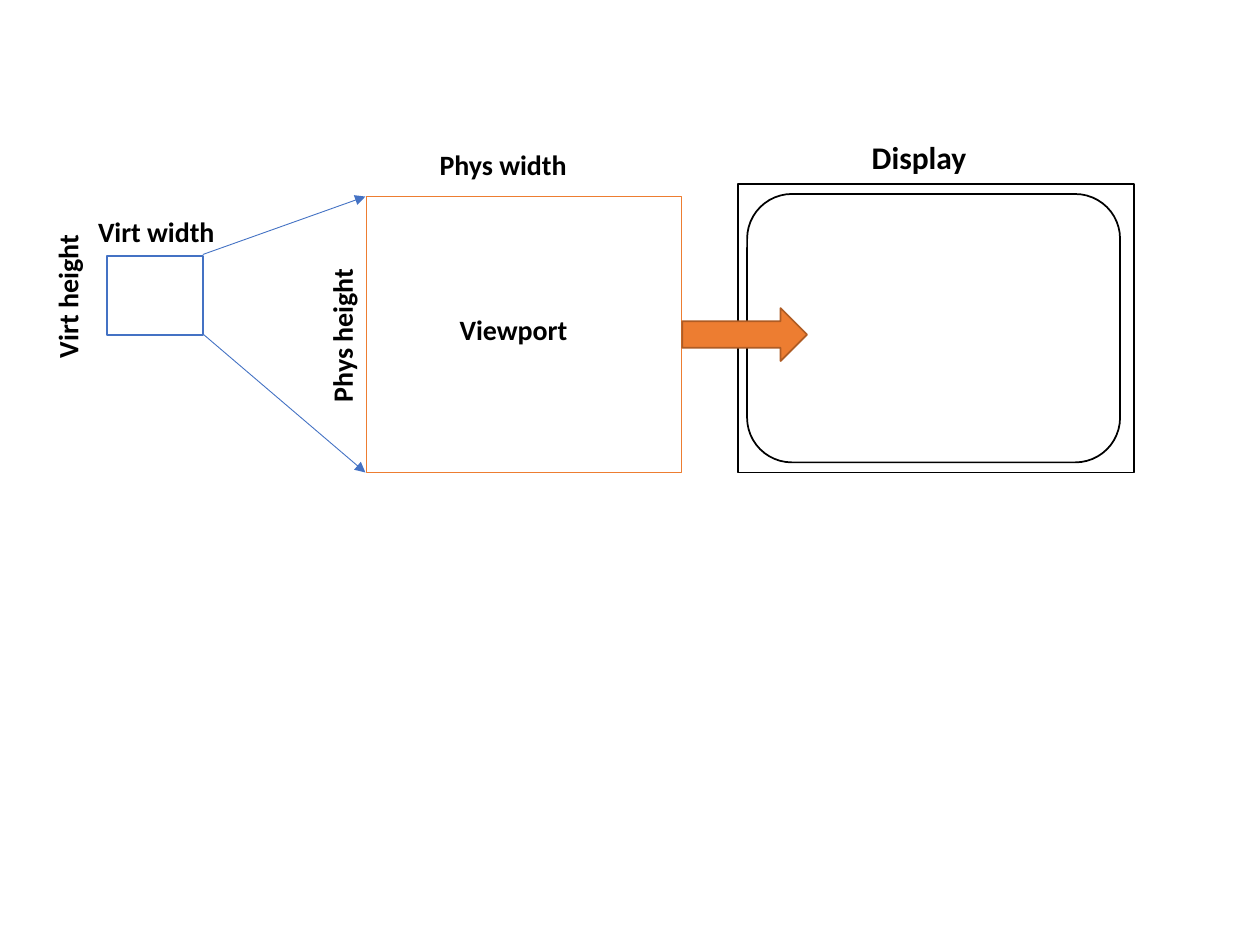
from lxml import etree
from pptx import Presentation
from pptx.dml.color import RGBColor
from pptx.enum.shapes import MSO_CONNECTOR, MSO_SHAPE as SHAPE
from pptx.enum.text import MSO_AUTO_SIZE
from pptx.oxml.ns import qn
from pptx.util import Inches, Pt

COLORS = {"black": "000000", "white": "FFFFFF", "blue": "4472C4",
          "orange": "ED7D31", "rust": "AF5C24"}


def color(name):
    return RGBColor.from_string(COLORS[name])


def add_outline(parent, kind, box, line, fill=None):
    """Add a preset shape with a 1 pt line, hollow unless a fill is named."""
    shape = parent.shapes.add_shape(kind, *map(Inches, box))
    shape.shadow.inherit = False
    shape.line.color.rgb = color(line)
    shape.line.width = Pt(1)
    if fill:
        shape.fill.solid()
        shape.fill.fore_color.rgb = color(fill)
    else:
        shape.fill.background()
    return shape


prs = Presentation()
prs.slide_width, prs.slide_height = Inches(10), Inches(7.5)
s = prs.slides.add_slide(prs.slide_layouts[6])

# Viewport, virtual screen and display
add_outline(s, SHAPE.RECTANGLE, (2.91, 1.56, 2.5, 2.19), "orange")
add_outline(s, SHAPE.RECTANGLE, (0.85, 2.03, 0.76, 0.63), "blue", "white")
display = s.shapes.add_group_shape()
add_outline(display, SHAPE.RECTANGLE, (5.86, 1.46, 3.14, 2.29), "black")
add_outline(display, SHAPE.ROUNDED_RECTANGLE, (5.93, 1.54, 2.96, 2.13), "black")

# Scaling lines from the virtual screen to the viewport corners
for y1, y2 in ((2.02, 1.56), (2.65, 3.75)):
    line = s.shapes.add_connector(MSO_CONNECTOR.STRAIGHT,
                                  *map(Inches, (1.61, y1, 2.9, y2)))
    line.line.color.rgb = color("blue")
    line.line.width = Pt(0.5)
    etree.SubElement(line.line._get_or_add_ln(), qn("a:tailEnd"), type="triangle")
    etree.SubElement(line._element.spPr, qn("a:effectLst"))

# Labels: text, box, size, rotation, wrap
labels = [
    ("Phys width", (3.39, 1.12, 1.22, 0.37), 16, 0, False),
    ("Phys height", (2.08, 2.47, 1.27, 0.37), 16, 270, False),
    ("Viewport", (3.55, 2.43, 1.07, 0.37), 16, 0, False),
    ("Virt height", (-0.06, 2.16, 1.19, 0.37), 16, 270, False),
    ("Virt width", (0.68, 1.65, 1.14, 0.37), 16, 0, False),
    ("Display", (6.82, 1.05, 2.18, 0.4), 18, 0, True),
]
for text, box, size, rotation, wrap in labels:
    label = s.shapes.add_textbox(*map(Inches, box))
    label.rotation = rotation
    tf = label.text_frame
    tf.word_wrap = wrap
    tf.auto_size = MSO_AUTO_SIZE.SHAPE_TO_FIT_TEXT
    r = tf.paragraphs[0].add_run()
    r.text = text
    for name, value in {"name": "Calibri", "size": Pt(size), "bold": True}.items():
        setattr(r.font, name, value)
    r.font.color.rgb = color("black")

# Block arrow from the viewport to the display
arrow = add_outline(s, SHAPE.DOWN_ARROW, (5.7, 2.16, 0.42, 0.99), "rust", "orange")
arrow.rotation = 270

prs.save("out.pptx")
